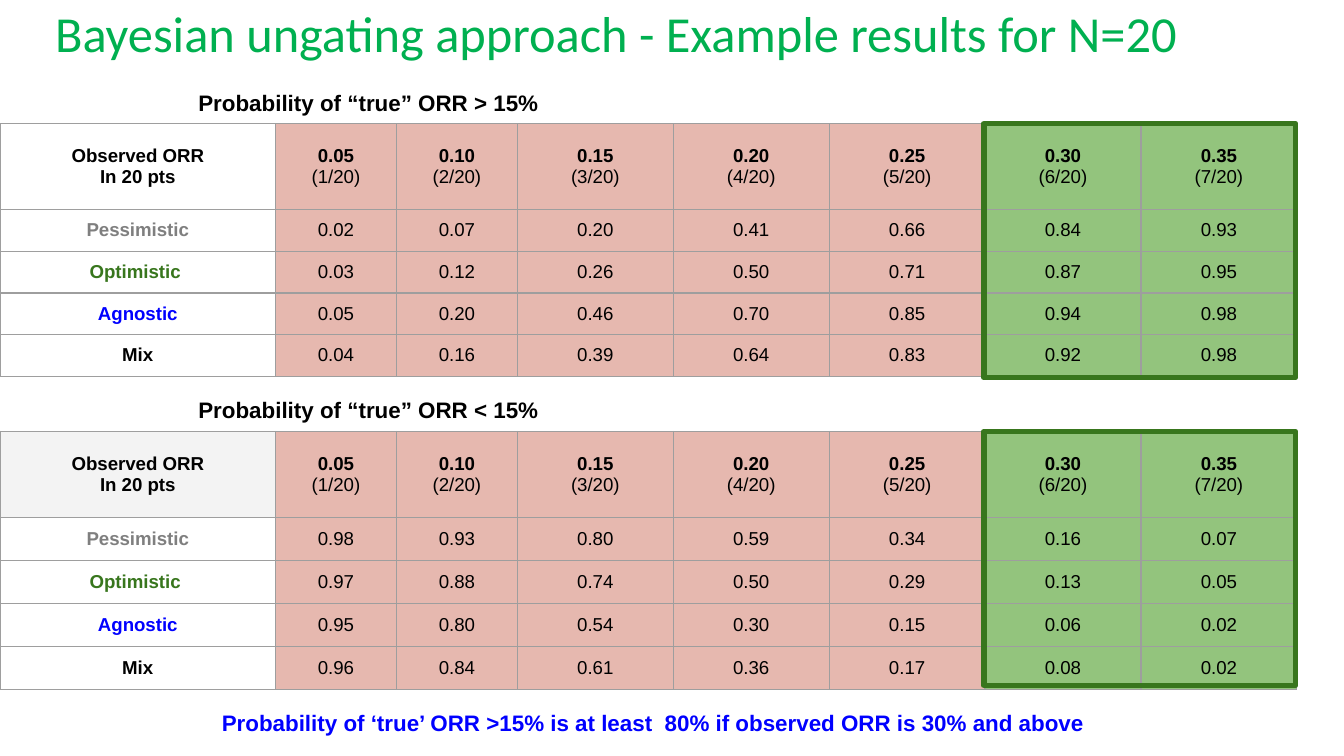
from dataclasses import dataclass

from lxml.etree import SubElement
from pptx import Presentation
from pptx.dml.color import RGBColor
from pptx.enum.shapes import MSO_SHAPE as Shape
from pptx.enum.text import MSO_ANCHOR as Anchor, PP_ALIGN as Align
from pptx.oxml.ns import qn
from pptx.slide import Slide
from pptx.table import _Cell as Cell
from pptx.util import Inches, Pt

BLACK = RGBColor(0x00, 0x00, 0x00)
WHITE = RGBColor(0xFF, 0xFF, 0xFF)
PALE = RGBColor(0xF3, 0xF3, 0xF3)
GRAY = RGBColor(0x7F, 0x7F, 0x7F)
BLUE = RGBColor(0x00, 0x00, 0xFF)
GREEN = RGBColor(0x00, 0xB0, 0x50)
DARK = RGBColor(0x38, 0x76, 0x1D)
PINK = RGBColor(0xE6, 0xB8, 0xAF)
LIME = RGBColor(0x93, 0xC4, 0x7D)
GRID = RGBColor(0x9E, 0x9E, 0x9E)

WIDE = Inches(10)
WIDTHS = [2.05] + [0.9] * 2 + [1.16] * 5
HEAD_H = 0.64
PASS_COL = 6  # first column that meets the 80% rule
PAD = 0.07
PRIORS = [("Pessimistic", GRAY), ("Optimistic ", DARK),
          ("Agnostic", BLUE), ("Mix", BLACK)]
HEADS = ["Observed ORR\nIn 20 pts"] + [
    f"{n / 20:.2f}\n({n}/20)" for n in range(1, 8)]


@dataclass
class Panel:
    top: float
    row_h: float
    sign: str
    corner: RGBColor
    rows: list[list[float]]


@dataclass
class Label:
    text: str
    left: float
    top: float
    width: float
    height: float = 0.35
    size: int = 12
    font: str = "Arial"
    color: RGBColor = BLACK
    bold: bool = True
    pad: float = PAD
    align: Align = Align.LEFT
    anchor: Anchor = Anchor.TOP
    indent: float = 0
    space: float = 1.0


PANELS = [
    Panel(0.92, 0.31, ">", WHITE, [
        [0.02, 0.07, 0.20, 0.41, 0.66, 0.84, 0.93],
        [0.03, 0.12, 0.26, 0.50, 0.71, 0.87, 0.95],
        [0.05, 0.20, 0.46, 0.70, 0.85, 0.94, 0.98],
        [0.04, 0.16, 0.39, 0.64, 0.83, 0.92, 0.98]]),
    Panel(3.21, 0.32, "<", PALE, [
        [0.98, 0.93, 0.80, 0.59, 0.34, 0.16, 0.07],
        [0.97, 0.88, 0.74, 0.50, 0.29, 0.13, 0.05],
        [0.95, 0.80, 0.54, 0.30, 0.15, 0.06, 0.02],
        [0.96, 0.84, 0.61, 0.36, 0.17, 0.08, 0.02]]),
]


def add_label(slide: Slide, label: Label) -> None:
    box = slide.shapes.add_textbox(Inches(label.left), Inches(label.top),
                                   Inches(label.width), Inches(label.height))
    frame = box.text_frame
    frame.word_wrap = True
    frame.vertical_anchor = label.anchor
    frame.margin_left = frame.margin_right = Inches(PAD)
    frame.margin_top = frame.margin_bottom = Inches(label.pad)
    para = frame.paragraphs[0]
    para.text = label.text
    para.alignment = label.align
    para.line_spacing = label.space
    font = para.font
    font.name, font.size, font.bold = label.font, Pt(label.size), label.bold
    font.color.rgb = label.color
    if label.indent:
        props = para._p.get_or_add_pPr()
        props.set("marL", str(Inches(label.indent)))
        props.set("indent", "0")


def add_grid(cell: Cell) -> None:
    """Draw thin lines on all four sides of a cell."""
    props = cell._tc.get_or_add_tcPr()
    for side in ("lnL", "lnR", "lnT", "lnB"):
        line = SubElement(props, qn(f"a:{side}"), w=str(Pt(0.75)))
        fill = SubElement(line, qn("a:solidFill"))
        SubElement(fill, qn("a:srgbClr"), val=str(GRID))


def fill_cell(cell: Cell, text: str, fill: RGBColor, color: RGBColor,
              bolds: list[bool]) -> None:
    """Set text, fill and lines; bolds has one entry for each paragraph."""
    add_grid(cell)
    cell.fill.solid()
    cell.fill.fore_color.rgb = fill
    cell.vertical_anchor = Anchor.MIDDLE
    cell.margin_left = cell.margin_right = Inches(PAD)
    cell.margin_top = cell.margin_bottom = Inches(PAD)
    cell.text = text
    for para, bold in zip(cell.text_frame.paragraphs, bolds):
        para.alignment = Align.CENTER
        font = para.font
        font.name, font.size, font.bold = "Arial", Pt(10), bold
        font.color.rgb = color


def add_panel(slide: Slide, panel: Panel) -> None:
    heights = [HEAD_H] + [panel.row_h] * len(PRIORS)
    table = slide.shapes.add_table(
        len(heights), len(WIDTHS), 0, Inches(panel.top),
        Inches(sum(WIDTHS)), Inches(sum(heights))).table
    table.first_row = table.horz_banding = False
    for col, width in zip(table.columns, WIDTHS):
        col.width = Inches(width)
    for row, height in zip(table.rows, heights):
        row.height = Inches(height)

    for c, head in enumerate(HEADS):
        tint = LIME if c >= PASS_COL else PINK if c else panel.corner
        fill_cell(table.cell(0, c), head, tint, BLACK, [True, c == 0])
        for r, (name, color) in enumerate(PRIORS):
            cell = table.cell(r + 1, c)
            if c:
                fill_cell(cell, f"{panel.rows[r][c - 1]:.2f}", tint, BLACK,
                          [False])
            else:
                fill_cell(cell, name, WHITE, color, [True])

    add_label(slide, Label(f"Probability of “true” ORR {panel.sign} 15% ",
                           0.42, panel.top - 0.33, 4.31,
                           align=Align.CENTER, indent=0.38))


def add_frame(slide: Slide, panel: Panel) -> None:
    """Outline the columns that meet the rule."""
    box = slide.shapes.add_shape(Shape.RECTANGLE, Inches(7.32),
                                 Inches(panel.top), Inches(2.32), Inches(1.89))
    box.shadow.inherit = False
    box.fill.background()
    box.line.color.rgb = DARK
    box.line.width = Pt(3)
    SubElement(box.get_or_add_ln(), qn("a:round"))


def main() -> None:
    deck = Presentation()
    deck.slide_width, deck.slide_height = WIDE, WIDE * 9 // 16
    slide = deck.slides.add_slide(deck.slide_layouts[6])
    add_label(slide, Label(
        "Bayesian ungating approach - Example results for N=20",
        0.34, -0.14, 8.62, 0.82, size=27, font="Calibri", color=GREEN,
        bold=False, pad=0.04, anchor=Anchor.MIDDLE, space=0.9))
    for panel in PANELS:
        add_panel(slide, panel)
        add_frame(slide, panel)
    add_label(slide, Label(
        "Probability of ‘true’ ORR >15% is at least  80% "
        "if observed ORR is 30% and above",
        1.58, 5.21, 8.29, color=BLUE))
    deck.save("out.pptx")


if __name__ == "__main__":
    main()
